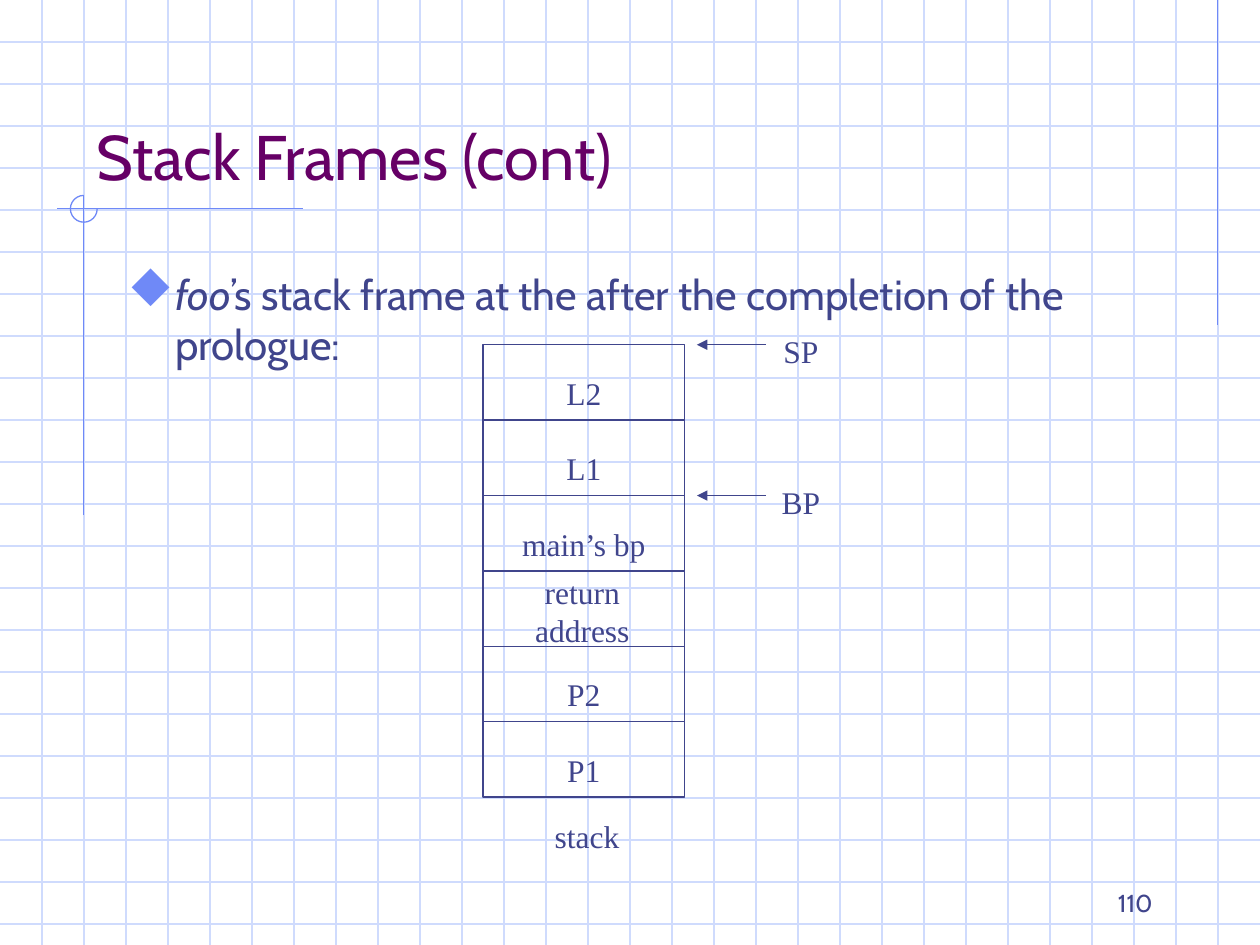
"""Build the slide that shows a stack frame after the prologue."""
from lxml import etree
from pptx import Presentation
from pptx.dml.color import RGBColor
from pptx.enum.shapes import MSO_CONNECTOR, MSO_SHAPE
from pptx.enum.text import MSO_ANCHOR, MSO_AUTO_SIZE, PP_ALIGN
from pptx.oxml.ns import qn
from pptx.util import Cm, Pt

STRAIGHT = MSO_CONNECTOR.STRAIGHT
RECTANGLE, ARC = MSO_SHAPE.RECTANGLE, MSO_SHAPE.ARC
TOP, BOTTOM = MSO_ANCHOR.TOP, MSO_ANCHOR.BOTTOM
LEFT, CENTER, RIGHT = PP_ALIGN.LEFT, PP_ALIGN.CENTER, PP_ALIGN.RIGHT
GROW, FIXED = MSO_AUTO_SIZE.SHAPE_TO_FIT_TEXT, MSO_AUTO_SIZE.NONE

GRID = RGBColor(0xCF, 0xDB, 0xFD)
ACCENT = RGBColor(0x6F, 0x89, 0xF7)
INK = RGBColor(0x40, 0x45, 0x8C)
PURPLE = RGBColor(0x66, 0x00, 0x66)

PAGE_WIDTH, PAGE_HEIGHT = 25.4, 19.05
GRID_STEP = PAGE_WIDTH / 30
STACK_LEFT, STACK_TOP = 9.74, 6.95
CELL_WIDTH, CELL_HEIGHT = 4.06, 1.52
LABEL_HEIGHT = 1.02
LINE_WIDTH = Pt(0.75)

TITLE = [("Stack Frames (cont)", False)]
BODY = [
    ("foo", True),
    ("’s stack frame at the after the completion of the prologue:", False),
]
CELLS = ["L2", "L1", "main’s bp", "return address", "P2", "P1"]
TWO_LINE_CELL = "return address"
POINTERS = {"SP": 0, "BP": 2}
RULES = [
    (24.55, 0, 24.55, 6.55),
    (6.1, 4.2, 1.14, 4.2),
    (1.69, 3.94, 1.69, 10.39),
]

TITLE_FONT = {"name": "Cabin", "size": Pt(36)}
BODY_FONT = {"name": "Cabin", "size": Pt(24)}
NUMBER_FONT = {"name": "Cabin", "size": Pt(14)}
LABEL_FONT = {"name": "Times New Roman", "size": Pt(18)}
DIAMOND_FONT, DIAMOND = "Wingdings", "u"


def add_line(page, ends, color, arrow=False):
    line = page.shapes.add_connector(STRAIGHT, *(Cm(end) for end in ends))
    line.line.color.rgb = color
    line.line.width = LINE_WIDTH
    if arrow:
        outline = line._element.spPr.find(qn("a:ln"))
        etree.SubElement(outline, qn("a:tailEnd"), type="triangle")
    etree.SubElement(line._element.spPr, qn("a:effectLst"))


def add_outline(page, kind, place, color):
    shape = page.shapes.add_shape(kind, *(Cm(length) for length in place))
    shape.shadow.inherit = False
    shape.fill.background()
    shape.line.color.rgb = color
    shape.line.width = LINE_WIDTH
    return shape


def add_text(page, place, spans, font, color=INK, align=LEFT, anchor=TOP, size=FIXED):
    box = page.shapes.add_textbox(*(Cm(length) for length in place))
    frame = box.text_frame
    settings = {"word_wrap": True, "auto_size": size, "vertical_anchor": anchor}
    for name, value in settings.items():
        setattr(frame, name, value)
    para = frame.paragraphs[0]
    para.alignment = align
    for text, italic in spans:
        span = para.add_run()
        span.text = text
        for name, value in {**font, "italic": italic}.items():
            setattr(span.font, name, value)
        span.font.color.rgb = color
    return para


def add_label(page, place, text):
    add_text(page, place, [(text, False)], LABEL_FONT, align=CENTER, size=GROW)


def add_bullet(para):
    properties = para._p.get_or_add_pPr()
    properties.set("marL", str(Cm(0.95)))
    properties.set("indent", str(-Cm(0.95)))
    color = etree.SubElement(properties, qn("a:buClr"))
    etree.SubElement(color, qn("a:srgbClr"), val=str(ACCENT))
    etree.SubElement(properties, qn("a:buSzPct"), val="110000")
    etree.SubElement(
        properties, qn("a:buFont"), typeface=DIAMOND_FONT, pitchFamily="2", charset="2"
    )
    etree.SubElement(properties, qn("a:buChar"), char=DIAMOND)


def draw_background(page):
    for row in range(1, 23):
        y = row * GRID_STEP
        add_line(page, (0, y, PAGE_WIDTH, y), GRID)
    for column in range(1, 30):
        x = column * GRID_STEP
        add_line(page, (x, 0, x, PAGE_HEIGHT), GRID)
    for ends in RULES:
        add_line(page, ends, ACCENT)
    arc = add_outline(page, ARC, (1.42, 3.94, 0.54, 0.54), ACCENT)
    arc.adjustments[0] = 0
    arc.adjustments[1] = 162


def draw_stack(page):
    for index, text in enumerate(CELLS):
        top = STACK_TOP + index * CELL_HEIGHT
        add_outline(page, RECTANGLE, (STACK_LEFT, top, CELL_WIDTH, CELL_HEIGHT), INK)
        if text == TWO_LINE_CELL:
            place = (STACK_LEFT + 0.22, top - 0.08, 3.56, 1.78)
        else:
            place = (STACK_LEFT + 0.25, top + 0.46, 3.56, LABEL_HEIGHT)
        add_label(page, place, text)
    for text, index in POINTERS.items():
        y = STACK_TOP + index * CELL_HEIGHT
        add_label(page, (15.32, y - 0.38, 1.65, LABEL_HEIGHT), text)
        add_line(page, (15.44, y, 14.05, y), INK, arrow=True)
    add_label(page, (STACK_LEFT, 16.34, 4.19, LABEL_HEIGHT), "stack")


def main():
    deck = Presentation()
    deck.slide_width, deck.slide_height = Cm(PAGE_WIDTH), Cm(PAGE_HEIGHT)
    page = deck.slides.add_slide(deck.slide_layouts[6])
    draw_background(page)
    add_text(page, (1.69, 0.84, 21.59, 3.18), TITLE, TITLE_FONT, PURPLE, anchor=BOTTOM)
    add_bullet(add_text(page, (2.33, 5.29, 21.59, 11.43), BODY, BODY_FONT))
    draw_stack(page)
    number = [("110", False)]
    add_text(page, (18.21, 17.35, 5.28, 1.27), number, NUMBER_FONT, align=RIGHT, anchor=BOTTOM)
    deck.save("out.pptx")


if __name__ == "__main__":
    main()
